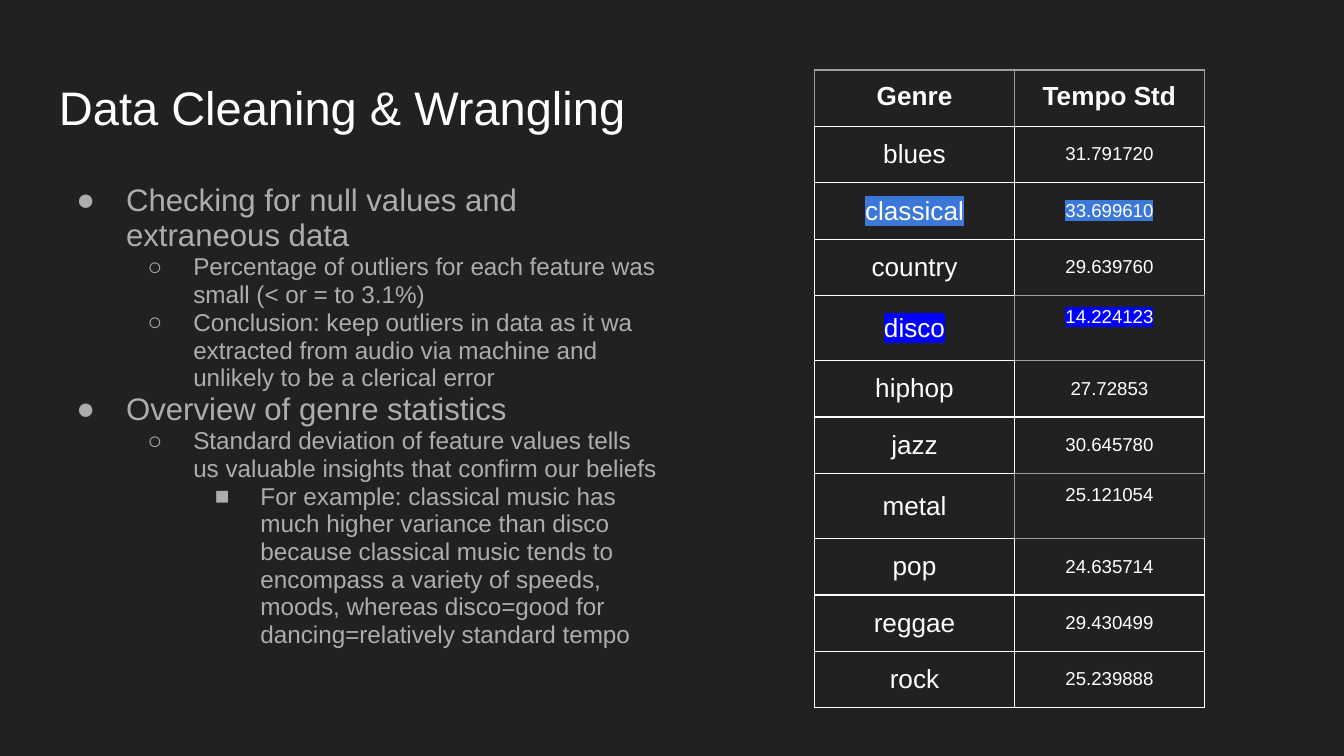
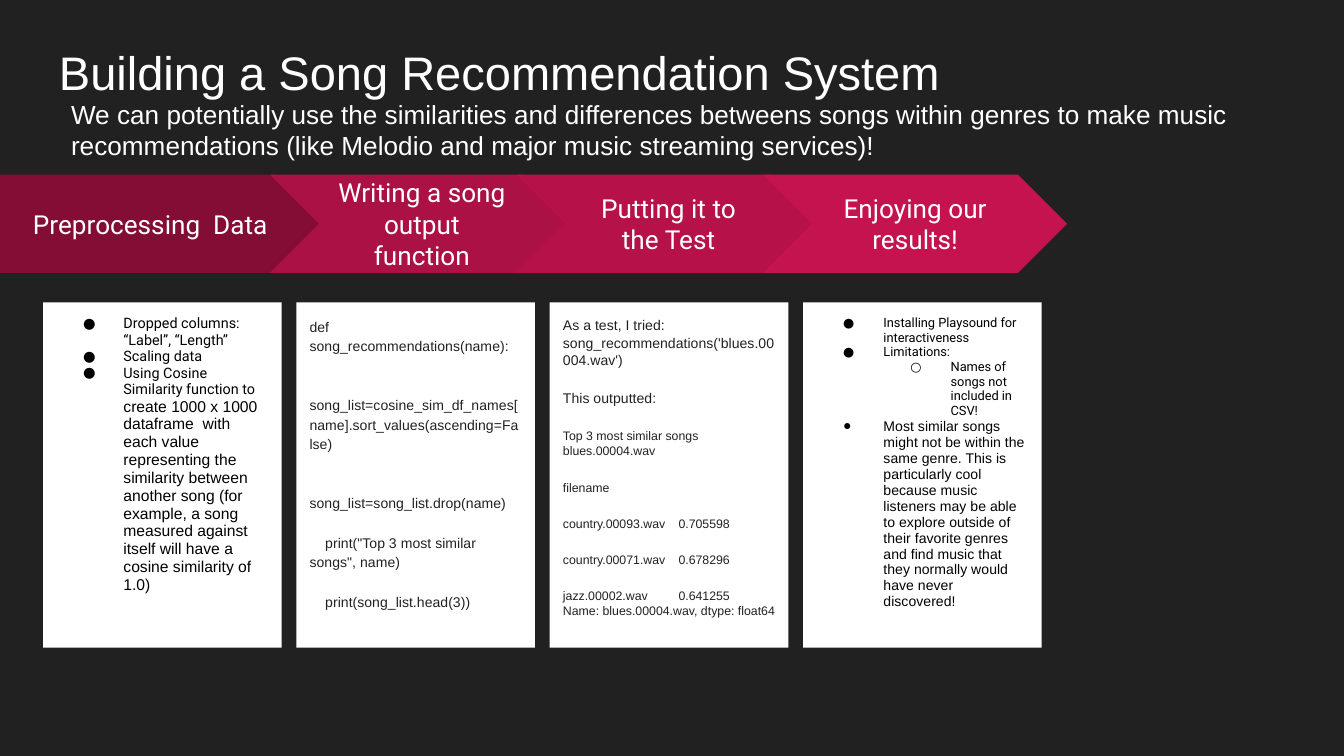
from dataclasses import dataclass
from typing import Optional

from lxml import etree
from pptx import Presentation
from pptx.dml.color import RGBColor
from pptx.enum.shapes import MSO_SHAPE
from pptx.enum.text import MSO_ANCHOR, PP_ALIGN
from pptx.oxml.ns import qn
from pptx.util import Emu, Pt

PENTAGON = MSO_SHAPE.PENTAGON
CHEVRON = MSO_SHAPE.CHEVRON
RECTANGLE = MSO_SHAPE.RECTANGLE
TOP = MSO_ANCHOR.TOP
MIDDLE = MSO_ANCHOR.MIDDLE
LEFT = PP_ALIGN.LEFT
CENTER = PP_ALIGN.CENTER

EMU_PER_PX = 4572
SLIDE_WIDTH, SLIDE_HEIGHT = 2000, 1125
INSET, LABEL_INSET = 20, 22
CELL_INSET, LOOSE_INSET = 18, 12
BULLET_MARKS = "●○■"
BULLET_STEP = 100


@dataclass(frozen=True)
class Theme:
    """Colours, fonts and type sizes shared by the slides."""
    background: str = "212121"
    white: str = "FFFFFF"
    black: str = "000000"
    muted: str = "ADADAD"
    soft_line: str = "9E9E9E"
    high_mark: str = "3C78D8"
    low_mark: str = "0000FF"
    sans: str = "Arial"
    accent: str = "Roboto"
    title: float = 25.2
    lead: float = 16.7
    detail: float = 13
    label: float = 14
    figure: float = 10
    prose: float = 8.4
    step: float = 7.7
    code: float = 7.5
    note: float = 6.9
    output: float = 6.6


THEME = Theme()


@dataclass(frozen=True)
class Box:
    """A place on the slide in px."""
    left: int
    top: int
    width: int
    height: int

    def emu(self) -> tuple[Emu, ...]:
        """Return the four lengths in EMU."""
        return tuple(px(v) for v in (self.left, self.top, self.width, self.height))


@dataclass(frozen=True)
class Span:
    """A run of text in one style."""
    text: str
    size: float
    color: str = THEME.white
    font: str = THEME.sans
    bold: bool = False
    highlight: Optional[str] = None


@dataclass(frozen=True)
class Line:
    """A paragraph; level is set only for bulleted ones."""
    spans: tuple[Span, ...]
    level: Optional[int] = None
    hanging: int = 60
    spacing: Optional[float] = None
    before: int = 0
    align: PP_ALIGN = LEFT
    tab: Optional[int] = None


@dataclass(frozen=True)
class Step:
    """A stage of the process with its panel of notes."""
    label: str
    outline: MSO_SHAPE
    box: Box
    fill: str
    notes: tuple[Line, ...]


@dataclass(frozen=True)
class Genre:
    """A table row of genre and tempo deviation."""
    name: str
    tempo: str
    highlight: Optional[str] = None
    loose: bool = False


def px(value: int) -> Emu:
    """Turn px into EMU."""
    return Emu(value * EMU_PER_PX)


def add_child(parent, tag: str, **attributes: str):
    """Append a drawing element."""
    return etree.SubElement(parent, qn(tag), attributes)


def write_span(paragraph, span: Span) -> None:
    """Add one run."""
    run = paragraph.add_run()
    run.text = span.text
    run.font.size = Pt(span.size)
    run.font.bold = span.bold
    run.font.color.rgb = RGBColor.from_string(span.color)
    if span.highlight:
        mark = add_child(run.font._element, "a:highlight")
        add_child(mark, "a:srgbClr", val=span.highlight)
    run.font.name = span.font


def write_lines(frame, lines: tuple[Line, ...]) -> None:
    """Fill a text frame with paragraphs."""
    for index, line in enumerate(lines):
        paragraph = frame.add_paragraph() if index else frame.paragraphs[0]
        paragraph.alignment = line.align
        paragraph.line_spacing = line.spacing
        if index:
            paragraph.space_before = Pt(line.before)
        properties = paragraph._p.get_or_add_pPr()
        if line.level is not None:
            paragraph.level = line.level
            properties.set("marL", str(px(BULLET_STEP * (line.level + 1))))
            properties.set("indent", str(px(-line.hanging)))
            tint = add_child(properties, "a:buClr")
            add_child(tint, "a:srgbClr", val=line.spans[0].color)
            add_child(properties, "a:buFont", typeface=line.spans[0].font)
            add_child(properties, "a:buChar", char=BULLET_MARKS[line.level])
        if line.tab:
            stops = add_child(properties, "a:tabLst")
            add_child(stops, "a:tab", pos=str(px(line.tab)), algn="l")
        for span in line.spans:
            write_span(paragraph, span)


def set_insets(holder, across: int, down: int) -> None:
    """Set the margins of a text frame or cell."""
    holder.margin_left = holder.margin_right = px(across)
    holder.margin_top = holder.margin_bottom = px(down)


def add_text(slide, box: Box, *lines: Line) -> None:
    """Add a wrapped text box."""
    frame = slide.shapes.add_textbox(*box.emu()).text_frame
    frame.word_wrap = True
    set_insets(frame, INSET, INSET)
    write_lines(frame, lines)


def add_block(slide, outline: MSO_SHAPE, box: Box, fill: str, anchor: MSO_ANCHOR,
              inset: int, lines: tuple[Line, ...]) -> None:
    """Add a filled shape with text."""
    shape = slide.shapes.add_shape(outline, *box.emu())
    shape.shadow.inherit = False
    shape.fill.solid()
    shape.fill.fore_color.rgb = RGBColor.from_string(fill)
    shape.line.fill.background()
    frame = shape.text_frame
    frame.word_wrap = True
    frame.vertical_anchor = anchor
    set_insets(frame, inset, INSET)
    write_lines(frame, lines)


def add_slide(presentation, title: str, title_top: int):
    """Add a dark slide with its title."""
    slide = presentation.slides.add_slide(presentation.slide_layouts[6])
    slide.background.fill.solid()
    slide.background.fill.fore_color.rgb = RGBColor.from_string(THEME.background)
    add_text(slide, Box(68, title_top, 1864, 126), Line((Span(title, THEME.title),)))
    return slide


GENRES = (
    Genre("blues", "31.791720"),
    Genre("classical", "33.699610", THEME.high_mark),
    Genre("country", "29.639760"),
    Genre("disco", "14.224123", THEME.low_mark, True),
    Genre("hiphop", "27.72853"),
    Genre("jazz", "30.645780"),
    Genre("metal", "25.121054", loose=True),
    Genre("pop", "24.635714"),
    Genre("reggae", "29.430499"),
    Genre("rock", "25.239888"),
)
TABLE_LEFT, TABLE_TOP = 1212, 104
COLUMN_WIDTHS = (298, 282)
ROW_HEIGHT, LOOSE_HEIGHT = 84, 97
LOOSE_CELLS = {(row, 1) for row, genre in enumerate(GENRES, 1) if genre.loose}
SIDES = {"a:lnL": (0, -1), "a:lnR": (0, 1), "a:lnT": (-1, 0), "a:lnB": (1, 0)}


def draw_borders(cell, row: int, column: int) -> None:
    """Draw the four cell edges, softer around the header and loose cells."""
    properties = cell._tc.get_or_add_tcPr()
    for index, (tag, (down, across)) in enumerate(SIDES.items()):
        touching = {(row, column), (row + down, column + across)}
        soft = touching & LOOSE_CELLS or (row == 0 and tag != "a:lnB")
        edge = etree.Element(qn(tag), {"w": str(Pt(0.75))})
        fill = add_child(edge, "a:solidFill")
        add_child(fill, "a:srgbClr", val=THEME.soft_line if soft else THEME.white)
        properties.insert(index, edge)


def add_genre_table(slide) -> None:
    """Add the table of tempo deviations."""
    heights = [ROW_HEIGHT] + [LOOSE_HEIGHT if g.loose else ROW_HEIGHT for g in GENRES]
    box = Box(TABLE_LEFT, TABLE_TOP, sum(COLUMN_WIDTHS), sum(heights))
    table = slide.shapes.add_table(len(heights), len(COLUMN_WIDTHS), *box.emu()).table
    table.first_row = table.horz_banding = False
    for column, width in zip(table.columns, COLUMN_WIDTHS):
        column.width = px(width)
    for table_row, height in zip(table.rows, heights):
        table_row.height = px(height)
    content = [[Span(text, THEME.label, bold=True) for text in ("Genre", "Tempo Std")]]
    content += [[Span(g.name, THEME.label, highlight=g.highlight),
                 Span(g.tempo, THEME.figure, highlight=g.highlight)] for g in GENRES]
    for row, spans in enumerate(content):
        for column, span in enumerate(spans):
            loose = (row, column) in LOOSE_CELLS
            cell = table.cell(row, column)
            cell.fill.background()
            cell.vertical_anchor = TOP if loose or row == 0 else MIDDLE
            set_insets(cell, INSET, LOOSE_INSET if loose else CELL_INSET)
            spacing = 1.15 if loose else None
            write_lines(cell.text_frame, (Line((span,), spacing=spacing, align=CENTER),))
            draw_borders(cell, row, column)


def finding(text: str, level: int) -> Line:
    """Return a bullet of the cleaning slide."""
    size, hanging = (THEME.detail, 68) if level else (THEME.lead, 74)
    return Line((Span(text, size, THEME.muted),), level, hanging, 0.95)


def note(*spans: Span, level: int = 0) -> Line:
    """Return a bullet of a step panel."""
    return Line(spans, level, spacing=0.95)


def roboto(text: str, size: float) -> Span:
    """Return black panel text in the accent font."""
    return Span(text, size, THEME.black, THEME.accent)


def code(text: str, size: float = THEME.code, spacing: float = 1.15,
         before: int = 11, tab: Optional[int] = None) -> Line:
    """Return a line of code or output."""
    return Line((Span(text, size, THEME.background),), spacing=spacing, before=before, tab=tab)


def output(text: str, before: int = 11, tab: Optional[int] = None) -> Line:
    """Return a line of small printed output."""
    return code(text, THEME.output, 1.05, before, tab)


FINDINGS = (
    finding("Checking for null values and extraneous data", 0),
    finding("Percentage of outliers for each feature was small (< or = to 3.1%)", 1),
    finding("Conclusion: keep outliers in data as it wa extracted from audio via machine and unlikely to be a clerical error", 1),
    finding("Overview of genre statistics", 0),
    finding("Standard deviation of feature values tells us valuable insights that confirm our beliefs", 1),
    finding("For example: classical music has much higher variance than disco because classical music tends to encompass a variety of speeds, moods, whereas disco=good for dancing=relatively standard tempo", 2),
)
SIMILARITIES = (("country.00093.wav", "0.705598"), ("country.00071.wav", "0.678296"),
                ("jazz.00002.wav", "0.641255"))
CHEVRONS = [Box(402 + 367 * index, 260, 452, 146) for index in range(3)]
STEPS = (
    Step("Preprocessing  Data", PENTAGON, Box(0, 260, 484, 146), "840D35", (
        note(roboto("Dropped columns: “Label”, “Length”", THEME.step)),
        note(roboto("Scaling data", THEME.step)),
        note(roboto("Using Cosine Similarity function to ", THEME.step),
             Span("create 1000 x 1000 dataframe  with each value representing the similarity between another song (for example, a song measured against itself will have a cosine similarity of 1.0)", THEME.prose, THEME.black)))),
    Step("Writing a song output function", CHEVRON, CHEVRONS[0], "AC1145", (
        code("def song_recommendations(name):"),
        code("    song_list=cosine_sim_df_names[name].sort_values(ascending=False)"),
        code("    song_list=song_list.drop(name)"),
        code("    print(\"Top 3 most similar songs\", name)"),
        code("    print(song_list.head(3))"))),
    Step("Putting it to the Test", CHEVRON, CHEVRONS[1], "B61249", (
        code("As a test, I tried: song_recommendations('blues.00004.wav')", spacing=1.05),
        code("This outputted:", spacing=1.05),
        output("Top 3 most similar songs blues.00004.wav"),
        output("filename"),
        *(output(f"{name}\t{score}", tab=172) for name, score in SIMILARITIES),
        output("Name: blues.00004.wav, dtype: float64", before=0))),
    Step("Enjoying our results!", CHEVRON, CHEVRONS[2], "C4134E", (
        note(roboto("Installing Playsound for interactiveness", THEME.note)),
        note(roboto("Limitations:", THEME.note)),
        note(roboto("Names of songs not included in CSV!", THEME.note), level=1),
        note(Span("Most similar songs might not be within the same genre. This is particularly cool because music listeners may be able to explore outside of their favorite genres and find music that they normally would have never discovered!", THEME.code, THEME.black)))),
)


def build_cleaning(presentation) -> None:
    """Build the data cleaning slide."""
    slide = add_slide(presentation, "Data Cleaning & Wrangling", 97)
    add_text(slide, Box(68, 252, 932, 748), *FINDINGS)
    add_genre_table(slide)


def build_recommendation(presentation) -> None:
    """Build the recommendation system slide."""
    slide = add_slide(presentation, "Building a Song Recommendation System", 44)
    add_text(slide, Box(86, 126, 1838, 134), Line((Span("We can potentially use the similarities and differences betweens songs within genres to make music recommendations (like Melodio and major music streaming services)!", THEME.label),)))
    for index, step in enumerate(STEPS):
        label = Line((Span(step.label, THEME.label, font=THEME.accent),), align=CENTER)
        add_block(slide, step.outline, step.box, step.fill, MIDDLE, LABEL_INSET, (label,))
        panel = Box(64 + 377 * index, 450, 355, 514)
        add_block(slide, RECTANGLE, panel, THEME.white, TOP, INSET, step.notes)


def main() -> None:
    """Build and save the presentation."""
    presentation = Presentation()
    presentation.slide_width, presentation.slide_height = px(SLIDE_WIDTH), px(SLIDE_HEIGHT)
    build_cleaning(presentation)
    build_recommendation(presentation)
    presentation.save("out.pptx")


if __name__ == "__main__":
    main()
